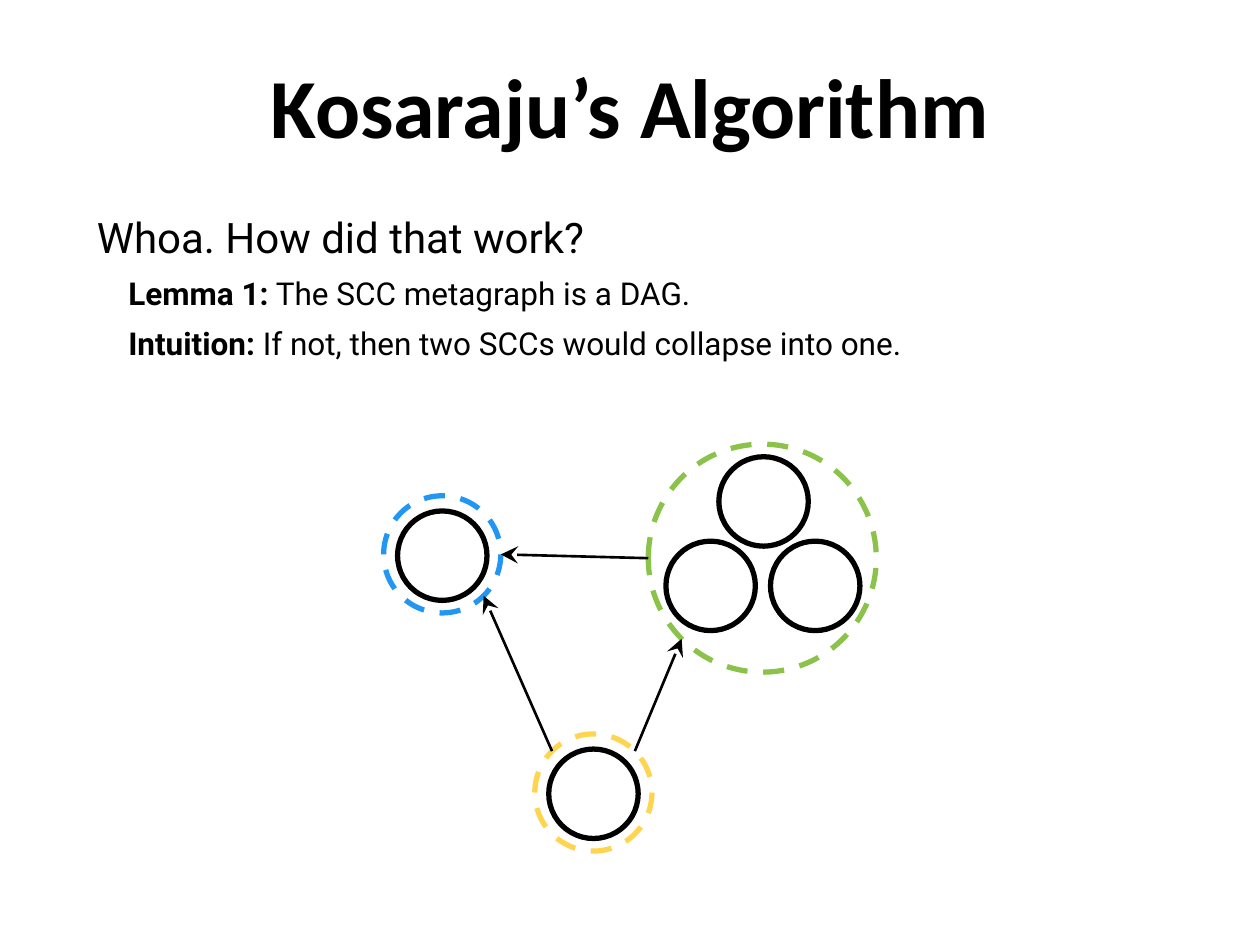
import math

import pptx
import pptx.dml.color
import pptx.enum.dml
import pptx.enum.shapes
import pptx.enum.text
import pptx.oxml
import pptx.oxml.ns
import pptx.util

Inches = pptx.util.Inches
Pt = pptx.util.Pt
RGBColor = pptx.dml.color.RGBColor

BLACK = RGBColor(0x00, 0x00, 0x00)
WHITE = RGBColor(0xFF, 0xFF, 0xFF)
BLUE = RGBColor(0x21, 0x96, 0xF3)
YELLOW = RGBColor(0xFF, 0xD5, 0x4F)
GREEN = RGBColor(0x8B, 0xC3, 0x4A)

NODE_SIZE = 0.71
SINGLE_RING = 0.93
TRIPLE_RING = 1.81

COMPONENTS = {
    "blue": (0.47, 0.88, SINGLE_RING, BLUE, [(0, 0.01)]),
    "yellow": (1.67, 2.77, SINGLE_RING, YELLOW, [(0, 0.01)]),
    "green": (3.01, 0.91, TRIPLE_RING, GREEN,
              [(0.42, 0.22), (-0.41, 0.22), (0.01, -0.45)]),
}
EDGES = [
    ("green", 180, "blue", 0),
    ("yellow", 225, "blue", 45),
    ("yellow", 315, "green", 135),
]
LEMMA_LINES = [
    ("Lemma 1:", " The SCC metagraph is a DAG."),
    ("Intuition:", " If not, then two SCCs would collapse into one."),
]


def add_text_frame(slide, left, top, width, height):
    box = slide.shapes.add_textbox(
        Inches(left), Inches(top), Inches(width), Inches(height))
    frame = box.text_frame
    frame.word_wrap = True
    frame.margin_left = frame.margin_right = Inches(0.1)
    frame.margin_top = frame.margin_bottom = Inches(0.1)
    return frame


def add_run(paragraph, text, font_name, size, bold=False):
    run = paragraph.add_run()
    run.text = text
    run.font.name = font_name
    run.font.size = Pt(size)
    run.font.bold = bold
    run.font.color.rgb = BLACK


def add_title(slide, left, top, width, height):
    frame = add_text_frame(slide, left, top, width, height)
    paragraph = frame.paragraphs[0]
    paragraph.alignment = pptx.enum.text.PP_ALIGN.CENTER
    add_run(paragraph, "Kosaraju’s Algorithm", "Calibri", 48, True)


def add_lemma(slide, left, top, width, height):
    frame = add_text_frame(slide, left, top, width, height)
    add_run(frame.paragraphs[0], "Whoa. How did that work?", "Roboto", 24)
    for label, statement in LEMMA_LINES:
        paragraph = frame.add_paragraph()
        paragraph.space_before = Pt(7)
        properties = paragraph._p.get_or_add_pPr()
        properties.set("marL", str(Inches(0.25)))
        properties.set("indent", "0")
        add_run(paragraph, label, "Roboto", 18, True)
        add_run(paragraph, statement, "Roboto", 18)


def add_circle(slide, center_x, center_y, size, color):
    circle = slide.shapes.add_shape(
        pptx.enum.shapes.MSO_SHAPE.OVAL,
        Inches(center_x - size / 2), Inches(center_y - size / 2),
        Inches(size), Inches(size))
    circle.shadow.inherit = False
    circle.line.color.rgb = color
    circle.line.width = Pt(3)
    return circle


def add_component(slide, center_x, center_y, ring_size, color, offsets):
    for offset_x, offset_y in offsets:
        node = add_circle(slide, center_x + offset_x, center_y + offset_y,
                          NODE_SIZE, BLACK)
        node.fill.solid()
        node.fill.fore_color.rgb = WHITE
    ring = add_circle(slide, center_x, center_y, ring_size, color)
    ring.fill.background()
    ring.line.dash_style = pptx.enum.dml.MSO_LINE.DASH


def find_ring_point(left, top, name, angle):
    center_x, center_y, size = COMPONENTS[name][:3]
    radians = math.radians(angle)
    return (Inches(left + center_x + size / 2 * math.cos(radians)),
            Inches(top + center_y + size / 2 * math.sin(radians)))


def add_arrow(slide, start, end):
    arrow = slide.shapes.add_connector(
        pptx.enum.shapes.MSO_CONNECTOR.STRAIGHT, *start, *end)
    arrow.line.color.rgb = BLACK
    arrow.line.width = Pt(1.5)
    head = pptx.oxml.parse_xml(
        f'<a:tailEnd {pptx.oxml.ns.nsdecls("a")} type="stealth" w="lg" len="lg"/>')
    arrow.line._get_or_add_ln().append(head)
    effects = pptx.oxml.parse_xml(f'<a:effectLst {pptx.oxml.ns.nsdecls("a")}/>')
    arrow._element.spPr.append(effects)


def add_metagraph(slide, left, top):
    for center_x, center_y, size, color, offsets in COMPONENTS.values():
        add_component(slide, left + center_x, top + center_y, size, color, offsets)
    for source, source_angle, target, target_angle in EDGES:
        add_arrow(slide, find_ring_point(left, top, source, source_angle),
                  find_ring_point(left, top, target, target_angle))


def main():
    presentation = pptx.Presentation()
    presentation.slide_width = Inches(10)
    presentation.slide_height = Inches(7.5)
    slide = presentation.slides.add_slide(presentation.slide_layouts[6])
    add_lemma(slide, 0.67, 1.58, 8.67, 5.92)
    add_title(slide, 0, 0.33, 10, 1.25)
    add_metagraph(slide, 3.04, 3.52)
    presentation.save("out.pptx")


if __name__ == "__main__":
    main()
